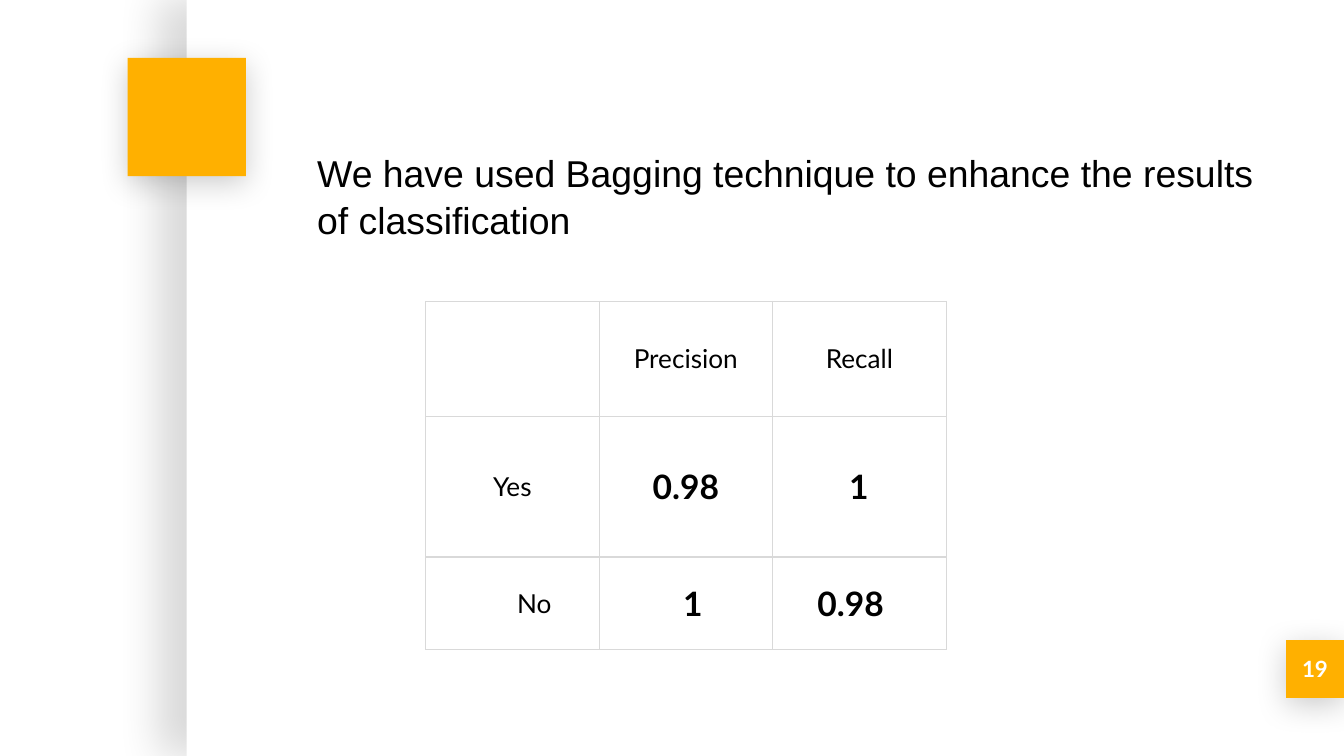
from lxml import etree
from pptx import Presentation
from pptx import util as u
from pptx.dml.color import RGBColor
from pptx.enum import shapes, text
from pptx.oxml.ns import qn

COLORS = {"white": "FFFFFF", "accent": "FFB000", "ink": "000000", "grid": "D9D9D9"}
LEFT, CENTER = text.PP_ALIGN.LEFT, text.PP_ALIGN.CENTER


class SlideBuilder:
    """Holds the style and the current slide, and adds each kind of element."""

    def __init__(self, slide, font="Lato"):
        self.slide = slide
        self.font = font

    def style(self, paragraph, size, color="ink", bold=False, align=LEFT, name=None):
        paragraph.alignment = align
        font = paragraph.font
        font.name, font.size, font.bold = name or self.font, u.Pt(size), bold
        font.color.rgb = RGBColor.from_string(COLORS[color])

    def shadow(self, shape, alpha, blur, distance, angle):
        shape.shadow.inherit = False
        effects = shape.element.spPr.find(qn("a:effectLst"))
        outer = etree.SubElement(
            effects, qn("a:outerShdw"), blurRad=str(u.Pt(blur)), dist=str(u.Pt(distance)),
            dir=str(angle * 60000), algn="bl", rotWithShape="0")
        color = etree.SubElement(outer, qn("a:srgbClr"), val=COLORS["ink"])
        etree.SubElement(color, qn("a:alpha"), val=str(alpha * 1000))

    def panel(self, left, top, width, height, fill="accent", shadow=(20, 16.9, 3.8, 90)):
        shape = self.slide.shapes.add_shape(
            shapes.MSO_SHAPE.RECTANGLE, *map(u.Pt, (left, top, width, height)))
        shape.fill.solid()
        shape.fill.fore_color.rgb = RGBColor.from_string(COLORS[fill])
        shape.line.fill.background()
        self.shadow(shape, *shadow)
        return shape

    def page_number(self, shape, number):
        frame = shape.text_frame
        frame.margin_left = frame.margin_right = u.Pt(7.2)
        frame.vertical_anchor = text.MSO_ANCHOR.MIDDLE
        frame.text = number
        self.style(frame.paragraphs[0], 12, "white", True, CENTER)

    def title(self, wording, left, top, width, height):
        title = self.slide.shapes.title
        title.left, title.top, title.width, title.height = map(
            u.Pt, (left, top, width, height))
        frame = title.text_frame
        frame.text = wording
        frame.word_wrap = True
        frame.auto_size = text.MSO_AUTO_SIZE.NONE
        frame.vertical_anchor = text.MSO_ANCHOR.TOP
        frame.margin_left = frame.margin_right = u.Pt(7.2)
        frame.margin_top = frame.margin_bottom = u.Pt(7.2)
        self.style(frame.paragraphs[0], 20, name="Arial")
        frame.paragraphs[0].line_spacing = 1.05
        tree = self.slide.shapes.element
        tree.remove(title.element)
        tree.append(title.element)

    def borders(self, cell):
        properties = cell._tc.get_or_add_tcPr()
        for index, side in enumerate(("lnL", "lnR", "lnT", "lnB")):
            line = etree.Element(qn(f"a:{side}"), w=str(u.Pt(0.75)))
            fill = etree.SubElement(line, qn("a:solidFill"))
            etree.SubElement(fill, qn("a:srgbClr"), val=COLORS["grid"])
            properties.insert(index, line)

    def table(self, rows, left, top, column_width, row_heights):
        columns = len(rows[0])
        table = self.slide.shapes.add_table(
            len(rows), columns, u.Pt(left), u.Pt(top),
            u.Pt(column_width * columns), u.Pt(sum(row_heights))).table
        table.first_row = table.horz_banding = False
        for column in table.columns:
            column.width = u.Pt(column_width)
        for row, height, values in zip(table.rows, row_heights, rows):
            row.height = u.Pt(height)
            for cell, (wording, indent) in zip(row.cells, values):
                self.cell(cell, wording, indent)

    def cell(self, cell, wording, indent):
        cell.fill.background()
        self.borders(cell)
        cell.vertical_anchor = text.MSO_ANCHOR.MIDDLE
        cell.margin_left, cell.margin_right = u.Pt(indent or 7.2), u.Pt(7.2)
        cell.margin_top = cell.margin_bottom = u.Pt(5)
        cell.text = wording
        numeric = wording[:1].isdigit()
        self.style(cell.text_frame.paragraphs[0], 18 if numeric else 14,
                   bold=numeric, align=LEFT if indent else CENTER)


def main():
    presentation = Presentation()
    presentation.slide_width, presentation.slide_height = u.Pt(720), u.Pt(405)
    slide = presentation.slides.add_slide(presentation.slide_layouts[5])
    builder = SlideBuilder(slide)
    builder.panel(100, 0, 620, 405, "white", (15, 22.5, 15, 180))
    number_box = builder.panel(689, 342.9, 31, 31)
    builder.panel(68.4, 31, 63.4, 63.4)
    builder.page_number(number_box, "19")
    builder.title("We have used Bagging technique to enhance the results of classification",
                  162.7, 72, 526.3, 63.4)
    results = [
        [("", 0), ("Precision", 0), ("Recall", 0)],
        [("Yes", 0), ("0.98", 0), ("1", 41)],
        [("No", 49), ("1", 45), ("0.98", 24)],
    ]
    builder.table(results, 228, 161.5, 93, (61.5, 75.5, 49.5))
    presentation.save("out.pptx")


if __name__ == "__main__":
    main()
